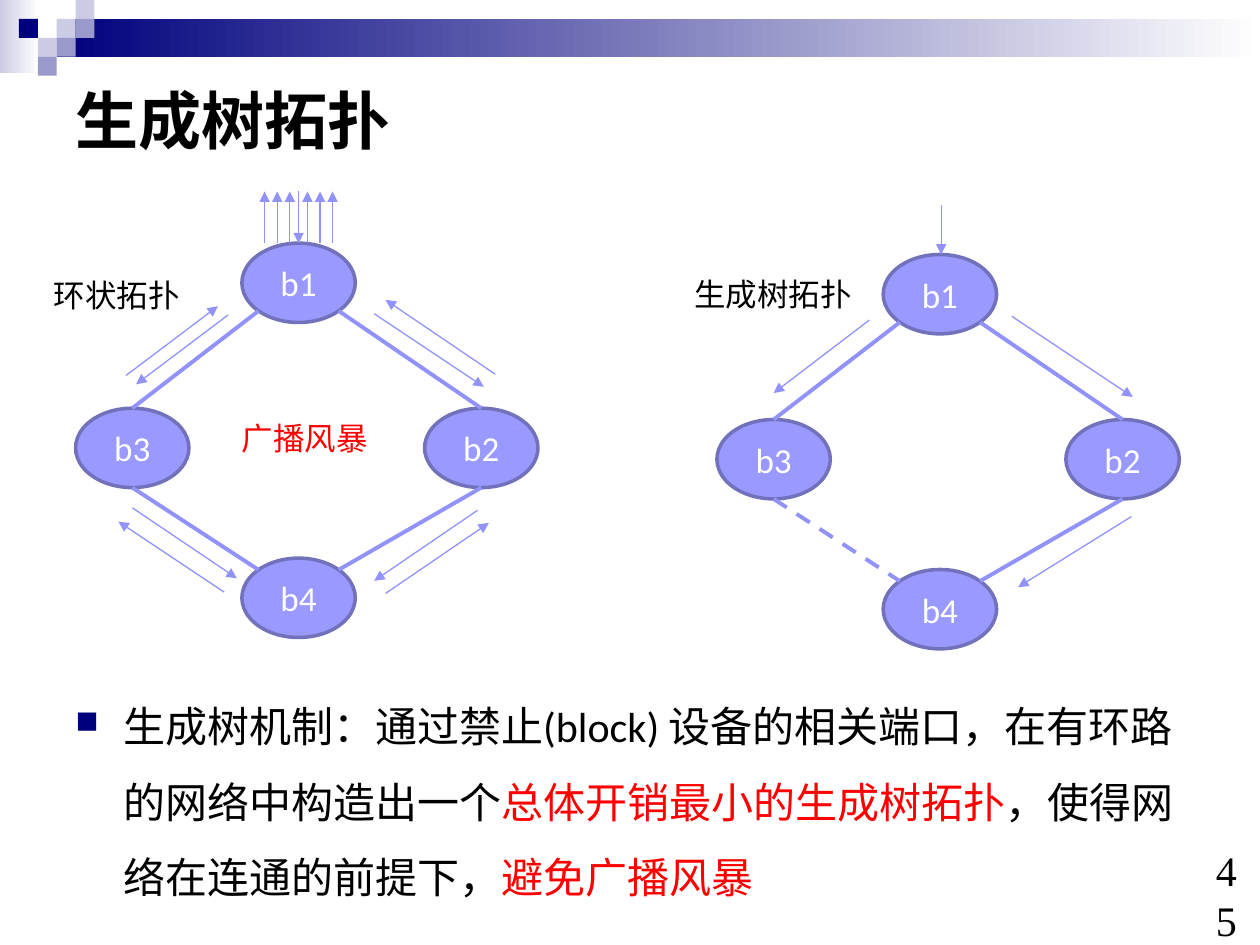
import math

import pptx
import pptx.dml.color
import pptx.enum.dml
import pptx.enum.shapes
import pptx.enum.text
import pptx.oxml
import pptx.oxml.ns
import pptx.util

Inches, Pt = pptx.util.Inches, pptx.util.Pt
SHAPE = pptx.enum.shapes.MSO_SHAPE
ANCHOR = pptx.enum.text.MSO_ANCHOR
ALIGN = pptx.enum.text.PP_ALIGN
DASH = pptx.enum.dml.MSO_LINE.DASH

COLORS = {
    "navy": "00007D", "pale": "CCCCE6", "mid": "9999CC", "white": "FFFFFF",
    "node": "9999FF", "node_line": "7171BC", "link": "9292FB",
    "text": "000000", "accent": "FF0000",
}
NODE_W, NODE_H = 0.9, 0.63
NODES = {"b1": (1.32, 0), "b3": (0, 1.31), "b2": (2.77, 1.31), "b4": (1.32, 2.5)}

# Arrows and labels are measured from the top left of their diagram
RING = {
    "arrows": [
        (0.4, 1.05, 1.13, 0.5), (1.21, 0.57, 0.48, 1.12),
        (2.37, 0.56, 3.24, 1.14), (3.33, 1.04, 2.46, 0.45),
        (0.45, 2.1, 1.28, 2.66), (1.18, 2.77, 0.34, 2.21),
        (3.19, 2.12, 2.37, 2.68), (2.46, 2.78, 3.28, 2.22),
        (1.77, -0.41, 1.77, 0),
    ] + [(x, 0, x, -0.41) for x in (1.5, 1.6, 1.7, 1.84, 1.94, 2.04)],
    "labels": [("环状拓扑", -0.27, 0.21, 1.2, "text"),
               ("广播风暴", 1.22, 1.35, 1.2, "accent")],
    "blocked": None,
}
TREE = {
    "arrows": [
        (1.78, -0.39, 1.78, 0), (1.21, 0.52, 0.45, 1.1),
        (2.34, 0.49, 3.3, 1.13), (3.29, 2.08, 2.39, 2.64),
    ],
    "labels": [("生成树拓扑", -0.28, 0.11, 1.45, "text")],
    "blocked": ("b3", "b4"),
}


def rgb(name):
    return pptx.dml.color.RGBColor.from_string(COLORS[name])


def add_xml(parent, tag, **attrs):
    el = pptx.oxml.parse_xml(f'<a:{tag} {pptx.oxml.ns.nsdecls("a")}/>')
    for key, value in attrs.items():
        el.set(key, value)
    parent.append(el)
    return el


def add_run(p, text, size, color="text", **formats):
    r = p.add_run()
    r.text = text
    for key, value in {"name": "Calibri", "size": Pt(size), **formats}.items():
        setattr(r.font, key, value)
    r.font.color.rgb = rgb(color)


def add_textbox(s, x, y, w, h, **formats):
    tf = s.shapes.add_textbox(Inches(x), Inches(y), Inches(w), Inches(h)).text_frame
    for key, value in formats.items():
        setattr(tf, key, value)
    return tf


def add_shape(s, kind, x, y, w, h, fill):
    sp = s.shapes.add_shape(kind, Inches(x), Inches(y), Inches(w), Inches(h))
    sp.shadow.inherit = False
    sp.line.fill.background()
    if isinstance(fill, tuple):
        sp.fill.gradient()
        sp.fill.gradient_angle = 0
        for stop, name, pos in zip(sp.fill.gradient_stops, fill, (0, 1)):
            stop.color.rgb = rgb(name)
            stop.position = pos
    else:
        sp.fill.solid()
        sp.fill.fore_color.rgb = rgb(fill)
    return sp


def add_line(s, x1, y1, x2, y2, width, arrow=False, dashed=False):
    line = s.shapes.add_connector(
        pptx.enum.shapes.MSO_CONNECTOR.STRAIGHT,
        Inches(x1), Inches(y1), Inches(x2), Inches(y2))
    line.line.width = Pt(width)
    line.line.color.rgb = rgb("link")
    if dashed:
        line.line.dash_style = DASH.DASH
    if arrow:
        add_xml(line.line._get_or_add_ln(), "tailEnd", type="triangle")
    add_xml(line._element.spPr, "effectLst")


def add_banner(s):
    add_shape(s, SHAPE.RECTANGLE, 0, 0, 0.31, 0.58, ("pale", "white"))
    add_shape(s, SHAPE.RECTANGLE, 0.45, 0.15, 9.55, 0.3, ("navy", "white"))
    side = 0.15
    squares = [(3, 1, "pale"), (4, 0, "pale"), (4, 1, "mid"), (2, 2, "pale"),
               (1, 1, "navy"), (3, 2, "mid"), (2, 3, "mid")]
    for col, row, color in squares:
        add_shape(s, SHAPE.RECTANGLE, col * side, row * side, side, side, color)


def add_title(s, x, y, w, h):
    sp = s.shapes.title
    box = {"left": x, "top": y, "width": w, "height": h}
    for key, value in box.items():
        setattr(sp, key, Inches(value))
    sp.text_frame.vertical_anchor = ANCHOR.MIDDLE
    p = sp.text_frame.paragraphs[0]
    p.alignment = ALIGN.LEFT
    add_run(p, "生成树拓扑", 36, bold=True)


def add_diagram(s, x, y, diagram):
    # Bridges
    for name, (dx, dy) in NODES.items():
        sp = add_shape(s, SHAPE.OVAL, x + dx, y + dy, NODE_W, NODE_H, "node")
        sp.line.color.rgb = rgb("node_line")
        sp.line.width = Pt(2)
        sp.text_frame.vertical_anchor = ANCHOR.MIDDLE
        p = sp.text_frame.paragraphs[0]
        p.alignment = ALIGN.CENTER
        add_run(p, name, 20, "white")

    # Links run from the diagonal of b1 or b4 to the top or bottom of b3 or b2
    diag = math.sqrt(0.5)
    for side, sign in (("b3", -1), ("b2", 1)):
        for end, down in (("b1", 1), ("b4", -1)):
            end_x = x + NODES[end][0] + NODE_W / 2 * (1 + sign * diag)
            end_y = y + NODES[end][1] + NODE_H / 2 * (1 + down * diag)
            side_x = x + NODES[side][0] + NODE_W / 2
            side_y = y + NODES[side][1] + NODE_H / 2 * (1 - down)
            start, stop = (end_x, end_y), (side_x, side_y)
            if end == "b4":
                start, stop = stop, start
            add_line(s, *start, *stop, 2.25,
                     dashed=diagram["blocked"] == (side, end))

    # Frame directions
    for x1, y1, x2, y2 in diagram["arrows"]:
        add_line(s, x + x1, y + y1, x + x2, y + y2, 0.75, arrow=True)

    # Captions
    for text, dx, dy, w, color in diagram["labels"]:
        tf = add_textbox(s, x + dx, y + dy, w, 0.4, word_wrap=False)
        add_run(tf.paragraphs[0], text, 18, color)


def add_summary(s, x, y, w, h):
    p = add_textbox(s, x, y, w, h, word_wrap=True).paragraphs[0]
    p.line_spacing = 1.5
    pPr = p._p.get_or_add_pPr()
    pPr.set("marL", str(Inches(0.38)))
    pPr.set("indent", str(-Inches(0.38)))
    add_xml(add_xml(pPr, "buClr"), "srgbClr", val=COLORS["navy"])
    add_xml(pPr, "buSzPct", val="75000")
    add_xml(pPr, "buChar", char="■")
    for text, color in [
        ("生成树机制：通过禁止(block) 设备的相关端口，在有环路的网络中构造出一个", "text"),
        ("总体开销最小的生成树拓扑", "accent"),
        ("，使得网络在连通的前提下，", "text"),
        ("避免广播风暴", "accent"),
    ]:
        add_run(p, text, 24, color)


def add_page_number(s, x, y, w, h):
    tf = add_textbox(s, x, y, w, h, word_wrap=True, vertical_anchor=ANCHOR.BOTTOM,
                     margin_left=0, margin_right=0, margin_top=0, margin_bottom=0)
    add_run(tf.paragraphs[0], "45", 24, name="Times New Roman")


def main():
    prs = pptx.Presentation()
    prs.slide_width, prs.slide_height = Inches(10), Inches(7.5)
    s = prs.slides.add_slide(prs.slide_layouts[5])
    add_banner(s)
    add_title(s, 0.5, 0.5, 9, 0.89)
    add_summary(s, 0.5, 5.31, 9, 1.78)
    add_diagram(s, 0.6, 1.93, RING)
    add_diagram(s, 5.69, 2.02, TREE)
    add_page_number(s, 9.65, 7.33, 0.23, 0.17)
    prs.save("out.pptx")


if __name__ == "__main__":
    main()
